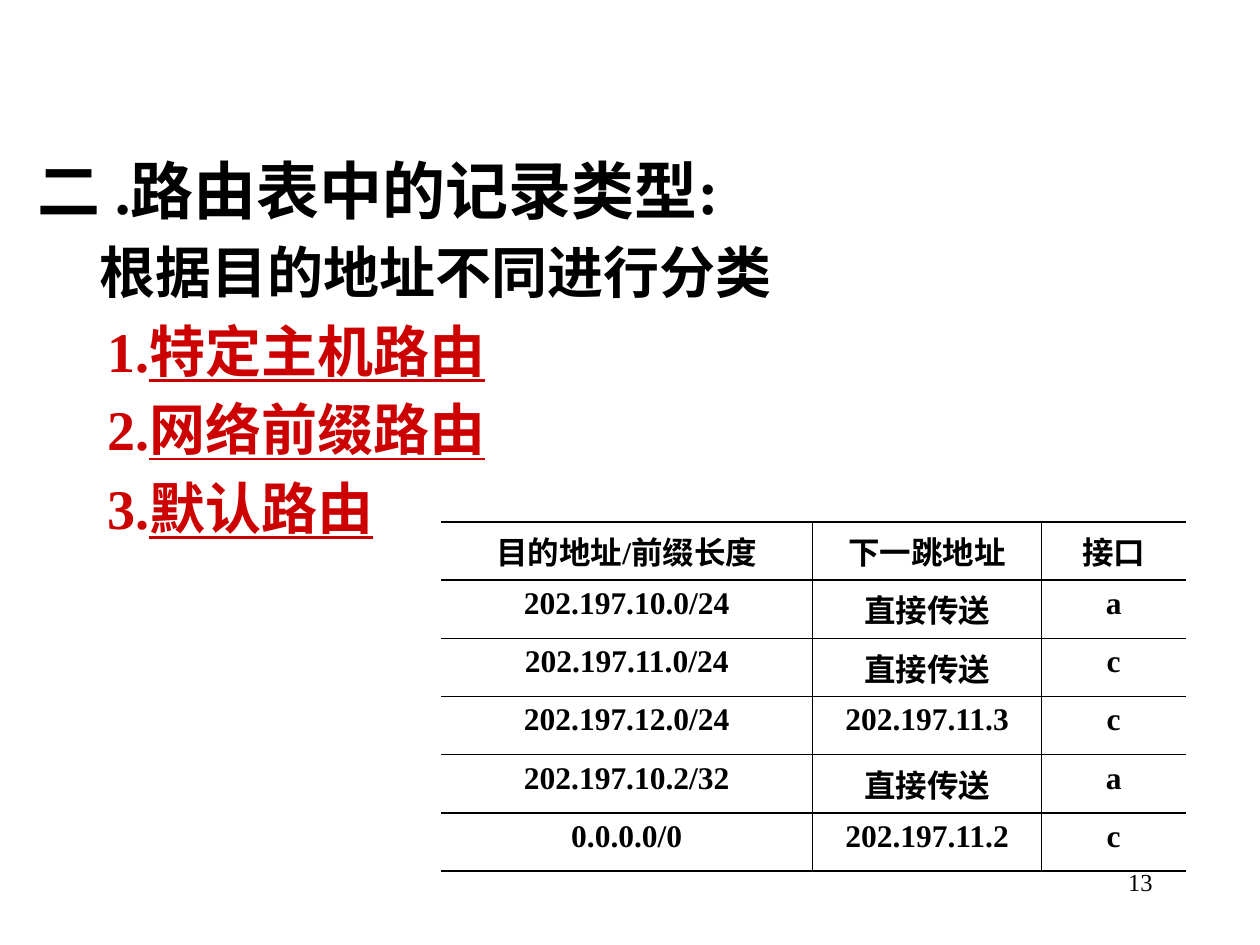
from pptx import Presentation
from pptx.dml.color import RGBColor
from pptx.enum.text import MSO_AUTO_SIZE, PP_ALIGN
from pptx.oxml.ns import qn
from pptx.util import Cm, Pt
from lxml.etree import SubElement

FONT = "Times New Roman"
COLORS = {"text": "000000", "accent": "CC0000", "border": "000000"}

HEADING = "二 .路由表中的记录类型:"
SUBHEADING = "根据目的地址不同进行分类"
ROUTE_TYPES = ["特定主机路由", "网络前缀路由", "默认路由"]

ROUTES = [
    ("目的地址/前缀长度", "下一跳地址", "接口"),
    ("202.197.10.0/24", "直接传送", "a"),
    ("202.197.11.0/24", "直接传送", "c"),
    ("202.197.12.0/24", "202.197.11.3", "c"),
    ("202.197.10.2/32", "直接传送", "a"),
    ("0.0.0.0/0", "202.197.11.2", "c"),
]
COL_WIDTHS = [7.49, 4.62, 2.9]
ROW_HEIGHTS = [1.02, 1.17, 1.02, 1.17, 1.17, 1.17]


def style_run(r, size, color="text", bold=True, underline=None):
    r.font.name = FONT
    r.font.size = Pt(size)
    r.font.bold = bold
    r.font.underline = underline
    r.font.color.rgb = RGBColor.from_string(COLORS[color])


def add_textbox(slide, left, top, width, height):
    tf = slide.shapes.add_textbox(Cm(left), Cm(top), Cm(width), Cm(height)).text_frame
    tf.word_wrap = True
    tf.auto_size = MSO_AUTO_SIZE.NONE
    return tf


def add_line(tf, text, size, indent, color="text"):
    """Append a paragraph with a left indent and return it."""
    p = tf.add_paragraph()
    p.text = text
    p.space_before = Pt(size * 0.2)
    p._p.get_or_add_pPr().set("marL", str(Cm(indent)))
    style_run(p.runs[0], size, color)
    return p


def add_outline(slide):
    tf = add_textbox(slide, 0.51, 2.92, 23.67, 13.61)
    tf.text = HEADING
    style_run(tf.paragraphs[0].runs[0], 36)
    add_line(tf, SUBHEADING, 32, 1.25)
    for number, name in enumerate(ROUTE_TYPES, 1):
        p = add_line(tf, f"{number}.", 32, 1.4, "accent")
        r = p.add_run()
        r.text = name
        style_run(r, 32, "accent", underline=True)


def set_borders(cell, sides):
    """Draw the named sides (L, R, T, B) and hide the others."""
    tc_pr = cell._tc.get_or_add_tcPr()
    for side in "LRTB":
        ln = SubElement(tc_pr, qn(f"a:ln{side}"), w=str(Pt(1)))
        if side in sides:
            fill = SubElement(ln, qn("a:solidFill"))
            SubElement(fill, qn("a:srgbClr"), val=COLORS["border"])
        else:
            SubElement(ln, qn("a:noFill"))


def add_route_table(slide):
    frame = slide.shapes.add_table(
        len(ROUTES), len(COL_WIDTHS), Cm(8.89), Cm(10.52),
        Cm(sum(COL_WIDTHS)), Cm(sum(ROW_HEIGHTS)))
    table = frame.table
    table.first_row = table.horz_banding = False
    for column, width in zip(table.columns, COL_WIDTHS):
        column.width = Cm(width)
    for row, height, values in zip(table.rows, ROW_HEIGHTS, ROUTES):
        row.height = Cm(height)
        # The outer left and right edges stay open
        for cell, value, sides in zip(row.cells, values, ("RTB", "LRTB", "LTB")):
            set_borders(cell, sides)
            cell.fill.background()
            cell.text = value
            p = cell.text_frame.paragraphs[0]
            p.alignment = PP_ALIGN.CENTER
            style_run(p.runs[0], 18)


def add_page_number(slide, number):
    tf = add_textbox(slide, 18.21, 17.35, 5.28, 1.27)
    tf.text = str(number)
    p = tf.paragraphs[0]
    p.alignment = PP_ALIGN.RIGHT
    style_run(p.runs[0], 14, bold=False)


def main():
    prs = Presentation()
    prs.slide_width, prs.slide_height = Cm(25.4), Cm(19.05)
    slide = prs.slides.add_slide(prs.slide_layouts[6])
    add_page_number(slide, 13)
    add_outline(slide)
    add_route_table(slide)
    prs.save("out.pptx")


if __name__ == "__main__":
    main()
